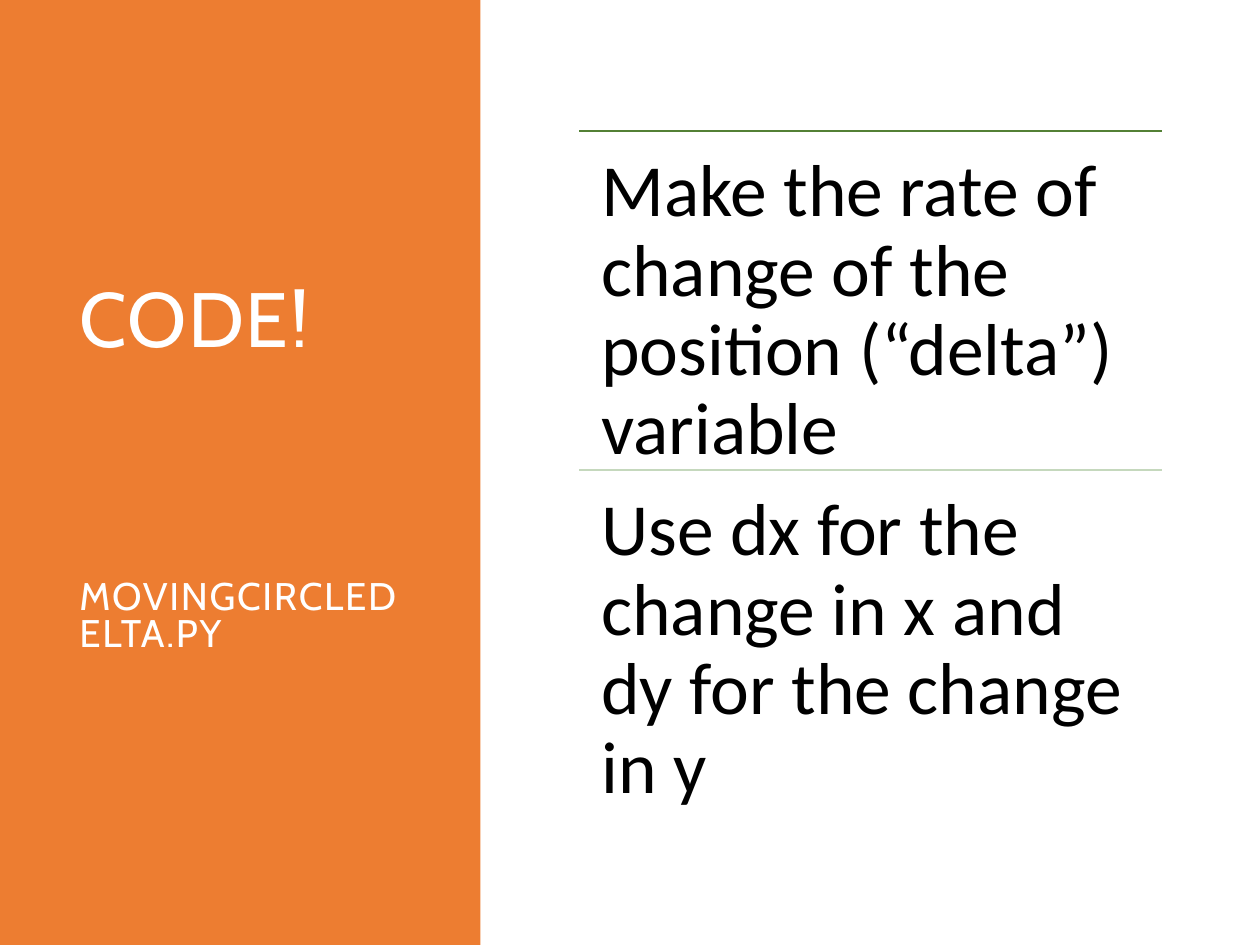
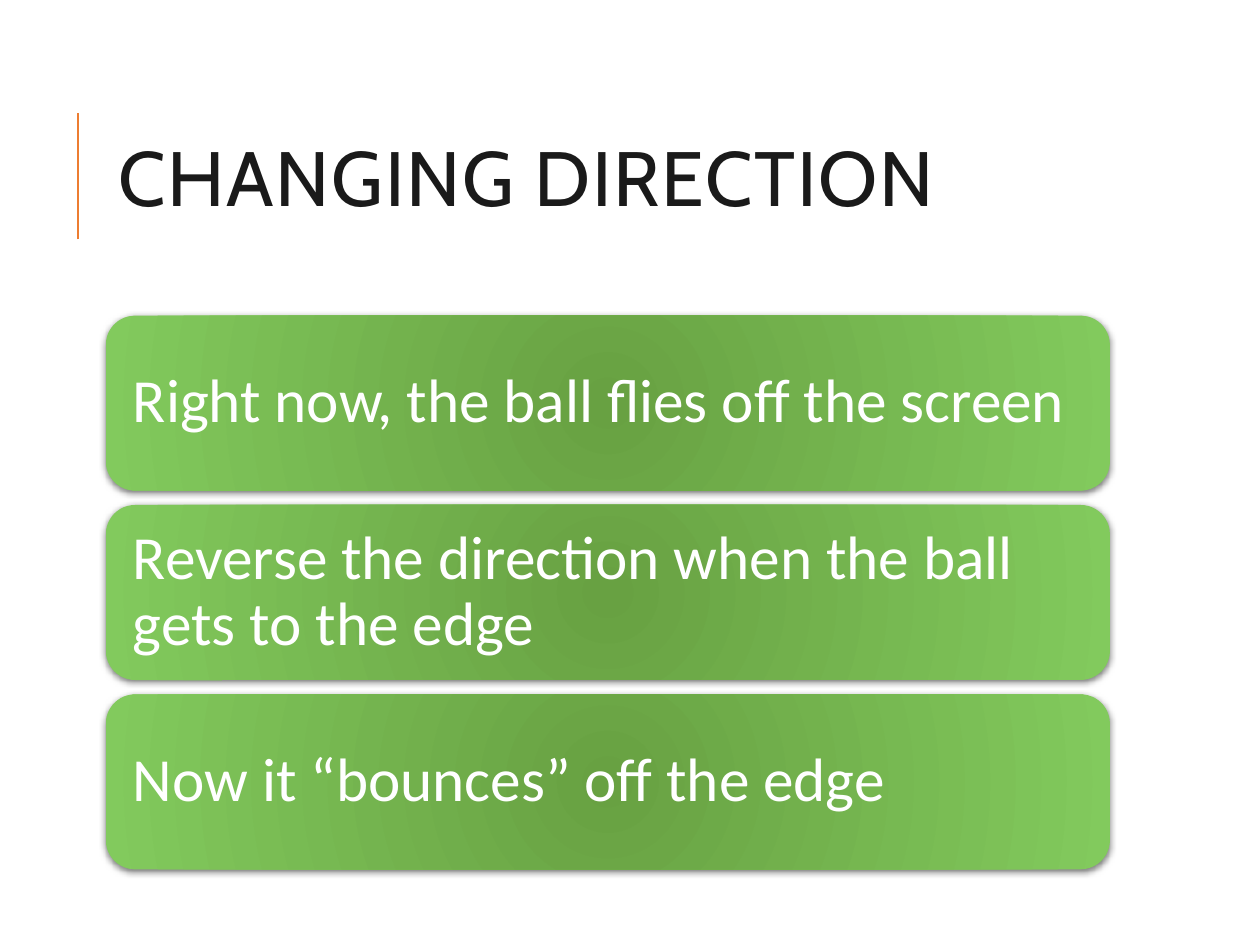
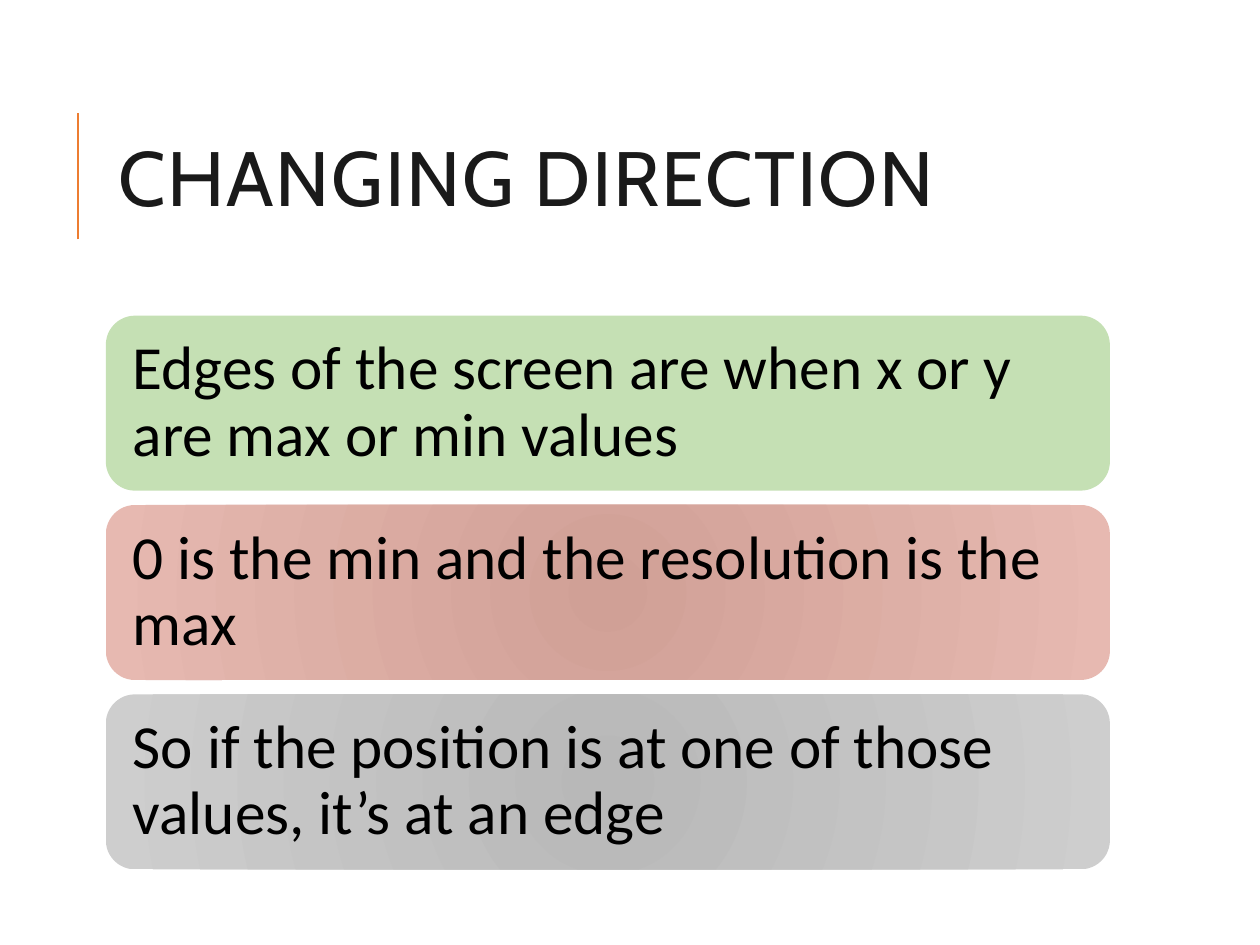
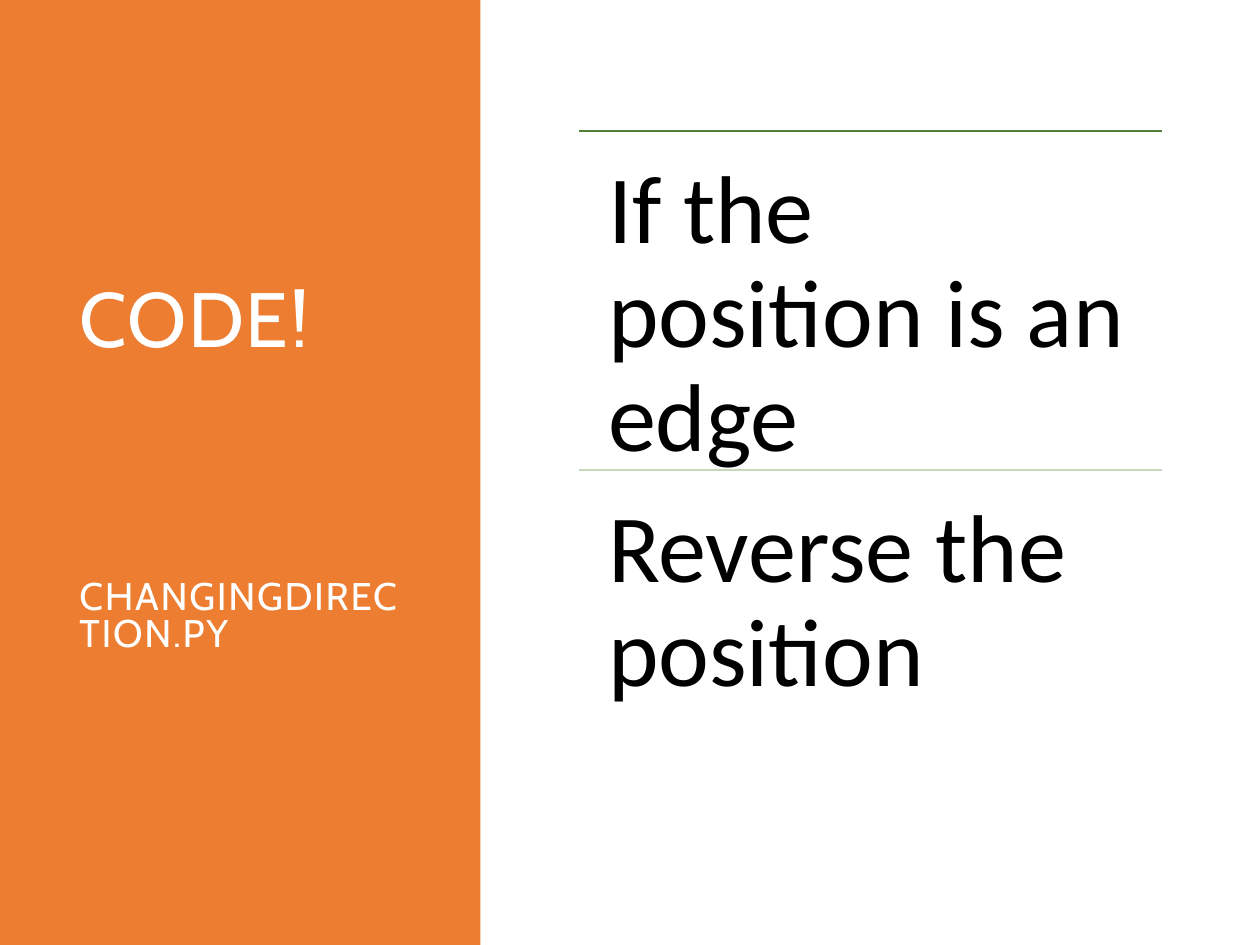
from pptx import Presentation
from pptx.dml.color import RGBColor
from pptx.enum.shapes import MSO_CONNECTOR, MSO_SHAPE
from pptx.enum.text import MSO_ANCHOR, MSO_AUTO_SIZE, PP_ALIGN
from pptx.oxml import parse_xml
from pptx.oxml.ns import nsdecls, qn
from pptx.util import Pt

ORANGE = RGBColor(0xED, 0x7D, 0x31)
WHITE = RGBColor(0xFF, 0xFF, 0xFF)
BLACK = RGBColor(0x00, 0x00, 0x00)
INK = RGBColor(0x1A, 0x1A, 0x1A)
GREEN = RGBColor(0x68, 0xA1, 0x42)
LIME = RGBColor(0x82, 0xCA, 0x5D)
MINT = RGBColor(0xC5, 0xE0, 0xB4)
CLAY = RGBColor(0xD0, 0xA0, 0x96)
ROSE = RGBColor(0xE7, 0xB9, 0xB1)
GRAY = RGBColor(0xB8, 0xB8, 0xB8)
SILVER = RGBColor(0xCE, 0xCE, 0xCE)
PINE = RGBColor(0x53, 0x80, 0x35)
SAGE = RGBColor(0xC5, 0xD8, 0xBD)

HEAD = "Cabin"
BODY = "Calibri"
WIDE, HIGH = 720, 540
PANEL = (0, 0, 274.5, HIGH)
LIST = (331, 75, 333, 387.5)
TOP = (60.5, 46.3, 573.8, 118)
STACK = (60.5, 180.4, 573.8, 316.4)
GAP = 8.2


def place(shape, box):
    """Move a shape to a box given in points."""
    shape.left, shape.top, shape.width, shape.height = map(Pt, box)


def write(para, text, font, size, color, space):
    """Add one styled run to a left-aligned paragraph."""
    para.alignment = PP_ALIGN.LEFT
    para.line_spacing = space
    run = para.add_run()
    run.text = text
    run.font.name = font
    run.font.size = Pt(size)
    run.font.color.rgb = color
    return run


def add_line(slide, start, end, color, width):
    """Draw a plain line between two points."""
    line = slide.shapes.add_connector(MSO_CONNECTOR.STRAIGHT, *map(Pt, start + end))
    line.line.color.rgb = color
    line.line.width = Pt(width)
    line._element.spPr.append(parse_xml(f"<a:effectLst {nsdecls('a')}/>"))
    return line


def add_text(slide, box, text, size, color, anchor):
    """Add body text whose inset grows with its size."""
    shape = slide.shapes.add_textbox(*map(Pt, box))
    frame = shape.text_frame
    frame.word_wrap = True
    frame.vertical_anchor = anchor
    inset = Pt(0.3 * size)
    frame.margin_left = frame.margin_right = inset
    frame.margin_top = frame.margin_bottom = inset
    write(frame.paragraphs[0], text, BODY, size, color, 0.9)


def add_title(slide, box, parts, color, gap=0):
    """Set the title, one paragraph for each text and size."""
    title = slide.shapes.title
    place(title, box)
    frame = title.text_frame
    frame.word_wrap = True
    frame.auto_size = MSO_AUTO_SIZE.NONE
    frame.vertical_anchor = MSO_ANCHOR.MIDDLE
    for i, (text, size) in enumerate(parts):
        para = frame.add_paragraph() if i else frame.paragraphs[0]
        para.space_before = Pt(gap if i else 0)
        run = write(para, text, HEAD, size, color, 0.8)
        run._r.get_or_add_rPr().set("spc", "100")


def send_back(slide, shape):
    """Put a shape behind all others."""
    slide.shapes._spTree.insert(2, shape._element)


def add_panel(slide, box, name):
    """Fill the side panel and set the code title in it."""
    x, y, w, h = box
    panel = slide.shapes.add_shape(MSO_SHAPE.RECTANGLE, *map(Pt, box))
    panel.shadow.inherit = False
    panel.fill.solid()
    panel.fill.fore_color.rgb = ORANGE
    panel.line.fill.background()
    send_back(slide, panel)
    inner = (x + 38.2, y + 50.4, w - 73, h - 101.5)
    add_title(slide, inner, [("CODE!", 44), (name, 22)], WHITE, 125)


def add_list(slide, box, items, size):
    """Stack texts in equal rows, each under a rule."""
    x, y, w, h = box
    step = h / len(items)
    for i, (text, color) in enumerate(zip(items, (PINE, SAGE))):
        top = y + i * step
        add_line(slide, (x, top), (x + w, top), color, 1.25)
        add_text(slide, (x, top, w, step), text, size, BLACK, MSO_ANCHOR.TOP)


def add_head(slide, box, text):
    """Set a slide title with the accent line on its left."""
    x, y, w, h = box
    bar = add_line(slide, (x - 16, y + h - 27.5), (x - 16, y + 18.5), ORANGE, 1.5)
    send_back(slide, bar)
    add_title(slide, box, [(text, 44)], INK)


def paint(shape, tones):
    """Fill with one tone, or with two from centre to edge."""
    if len(tones) == 1:
        shape.fill.solid()
        shape.fill.fore_color.rgb = tones[0]
        return
    shape.fill.gradient()
    for stop, tone in zip(shape.fill.gradient_stops, tones):
        stop.color.rgb = tone
    grad = shape._element.spPr.find(qn("a:gradFill"))
    grad.replace(grad.find(qn("a:lin")), parse_xml(
        f'<a:path {nsdecls("a")} path="circle"><a:fillToRect l="100000" '
        't="100000" r="100000" b="100000"/></a:path>'))


def cast(shape):
    """Give a shape a soft shadow below it."""
    shape._element.spPr.find(qn("a:effectLst")).append(parse_xml(
        f'<a:outerShdw {nsdecls("a")} blurRad="{Pt(4)}" dist="{Pt(1)}" '
        'dir="5400000" rotWithShape="0"><a:srgbClr val="000000">'
        '<a:alpha val="50000"/></a:srgbClr></a:outerShdw>'))


def add_cards(slide, box, cards, color, raised):
    """Stack rounded cards of equal height with equal gaps."""
    x, y, w, h = box
    tall = (h - GAP * (len(cards) - 1)) / len(cards)
    for i, (text, tones) in enumerate(cards):
        top = y + i * (tall + GAP)
        card = slide.shapes.add_shape(
            MSO_SHAPE.ROUNDED_RECTANGLE, *map(Pt, (x, top, w, tall)))
        card.shadow.inherit = False
        paint(card, tones)
        card.line.fill.background()
        if raised:
            cast(card)
        inner = (x + 4.9, top + 4.9, w - 9.8, tall - 9.8)
        add_text(slide, inner, text, 35, color, MSO_ANCHOR.MIDDLE)


def code_slide(deck, name, items, size):
    """Build a slide with a side panel and a ruled list."""
    slide = deck.slides.add_slide(deck.slide_layouts[5])
    add_panel(slide, PANEL, name)
    add_list(slide, LIST, items, size)


def card_slide(deck, title, cards, color, raised=False):
    """Build a slide with a title over a stack of cards."""
    slide = deck.slides.add_slide(deck.slide_layouts[5])
    add_head(slide, TOP, title)
    add_cards(slide, STACK, cards, color, raised)


def main():
    """Build and save the deck."""
    deck = Presentation()
    deck.slide_width, deck.slide_height = Pt(WIDE), Pt(HIGH)
    code_slide(deck, "MOVINGCIRCLEDELTA.PY", [
        "Make the rate of change of the position (“delta”) variable",
        "Use dx for the change in x and dy for the change in y",
    ], 42)
    leaf = (GREEN, LIME)
    card_slide(deck, "CHANGING DIRECTION", [
        ("Right now, the ball flies off the screen", leaf),
        ("Reverse the direction when the ball gets to the edge", leaf),
        ("Now it “bounces” off the edge", leaf),
    ], WHITE, raised=True)
    card_slide(deck, "CHANGING DIRECTION", [
        ("Edges of the screen are when x or y are max or min values", (MINT,)),
        ("0 is the min and the resolution is the max", (CLAY, ROSE)),
        ("So if the position is at one of those values, it’s at an edge",
         (GRAY, SILVER)),
    ], BLACK)
    code_slide(deck, "CHANGINGDIRECTION.PY", [
        "If the position is an edge",
        "Reverse the position",
    ], 55)
    deck.save("out.pptx")


if __name__ == "__main__":
    main()
